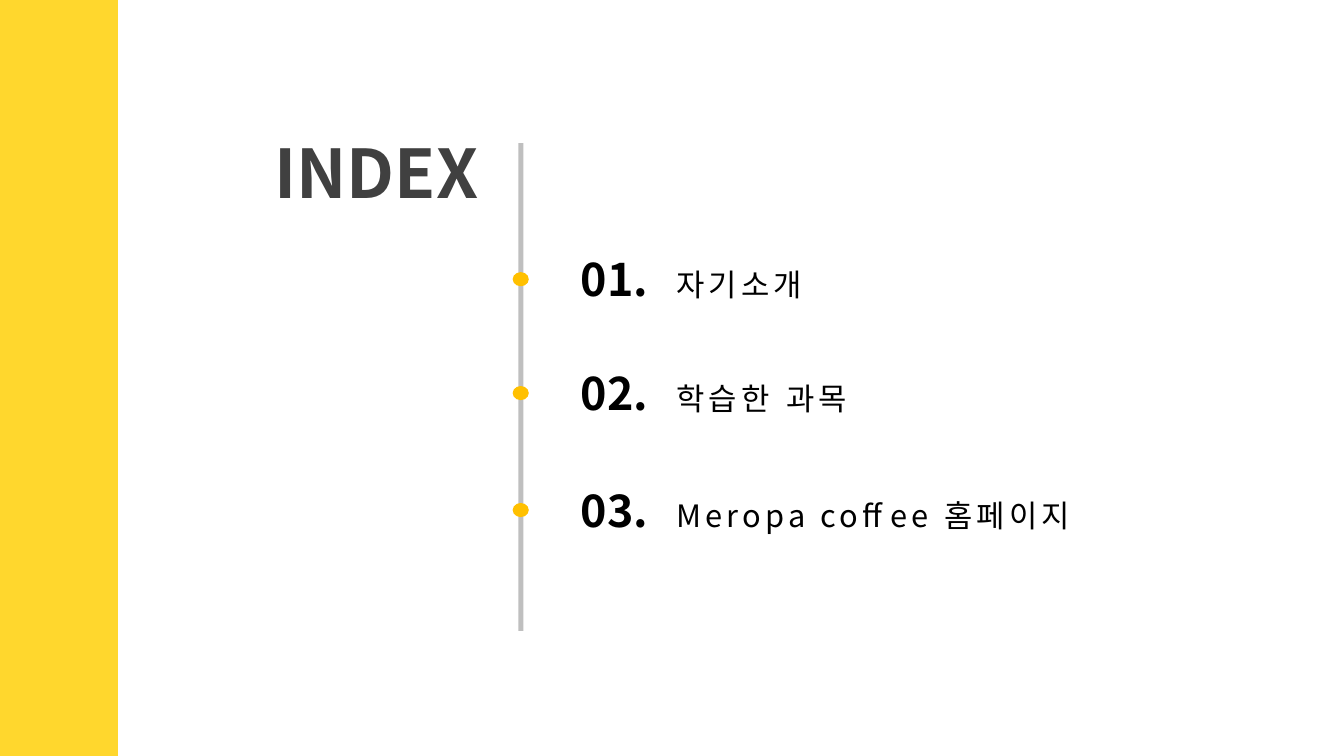
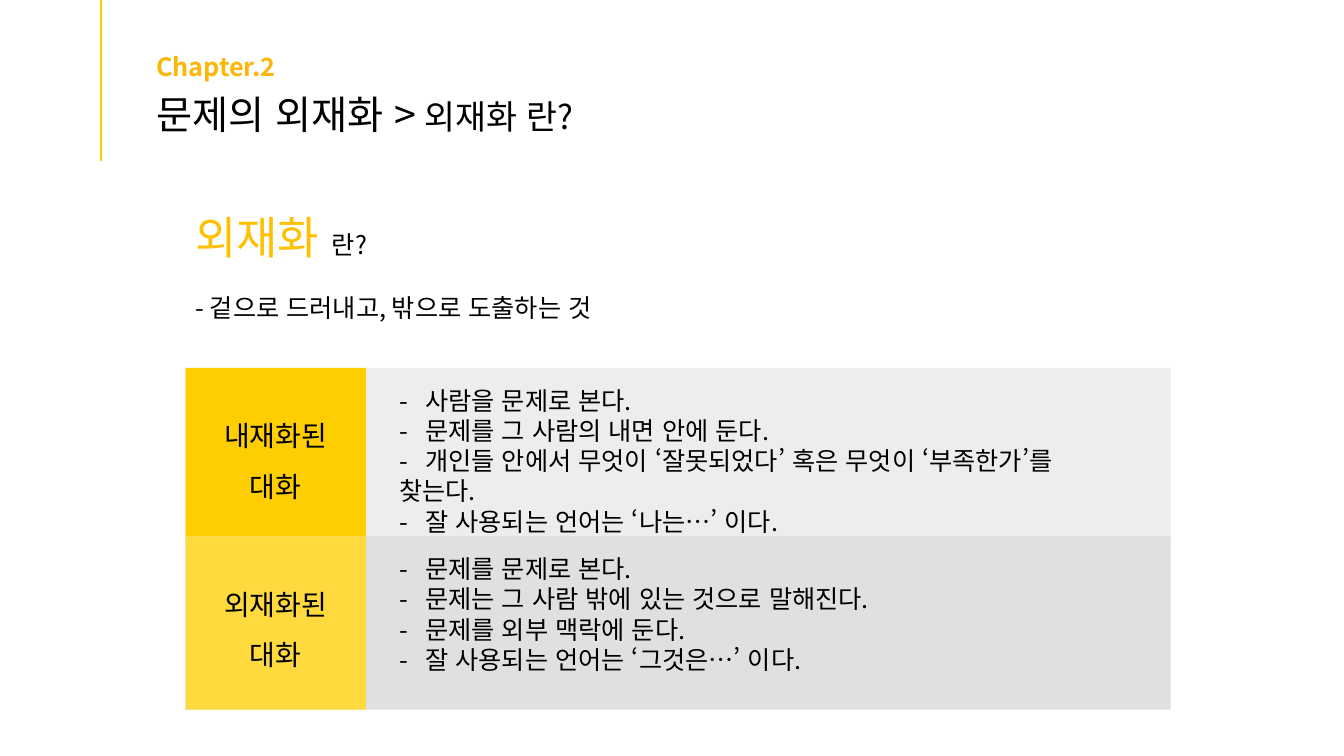
from lxml.etree import SubElement
from pptx import Presentation
from pptx.dml.color import RGBColor
from pptx.enum.lang import MSO_LANGUAGE_ID
from pptx.enum.shapes import MSO_CONNECTOR, MSO_SHAPE
from pptx.enum.text import MSO_ANCHOR, MSO_AUTO_SIZE, PP_ALIGN
from pptx.oxml.ns import qn
from pptx.util import Inches, Pt

WIDTH, HEIGHT = 13.33, 7.5
FONT = "Noto Sans CJK KR"
COLORS = {
    "text": "000000", "heading": "404040", "rail": "BFBFBF",
    "accent": "FFC000", "band": "FFD72D", "chapter": "FBB609", "rule": "FFCF01",
}
INDEX_ITEMS = [
    ("01.", "자기소개", 2.45),
    ("02.", "학습한 과목", 3.58),
    ("03.", "Meropa coffee 홈페이지", 4.74),
]
CHAPTER = "Chapter.2"
CHAPTER_TITLE = [("문제의 외재화 > ", {}), ("외재화 란?", {"size": 24})]
TERM = [("외재화 ", {"color": "accent"}), ("란?", {"size": 18})]
MEANING = "- 겉으로 드러내고, 밖으로 도출하는 것"
COMPARISON = [
    {
        "label": ["내재화된", "대화"], "label_fill": "FECE00", "fill": "EDEDED",
        "points": [
            "사람을 문제로 본다.",
            "문제를 그 사람의 내면 안에 둔다.",
            "개인들 안에서 무엇이 ‘잘못되었다’ 혹은 무엇이 ‘부족한가’를 찾는다.",
            "잘 사용되는 언어는 ‘나는…’ 이다.",
        ],
    },
    {
        "label": ["외재화된", "대화"], "label_fill": "FFDA3F", "fill": "E1DFDF",
        "points": [
            "문제를 문제로 본다.",
            "문제는 그 사람 밖에 있는 것으로 말해진다.",
            "문제를 외부 맥락에 둔다.",
            "잘 사용되는 언어는 ‘그것은…’ 이다.",
        ],
    },
]


def rgb(color):
    return RGBColor.from_string(COLORS.get(color, color))


def add_block(page, left, top, width, height, fill, kind=MSO_SHAPE.RECTANGLE):
    shape = page.shapes.add_shape(kind, *map(Inches, (left, top, width, height)))
    shape.shadow.inherit = False
    shape.fill.solid()
    shape.fill.fore_color.rgb = rgb(fill)
    shape.line.fill.background()
    return shape


def add_tab_stop(para, position):
    stops = SubElement(para._p.get_or_add_pPr(), qn("a:tabLst"))
    SubElement(stops, qn("a:tab"), pos=str(Inches(position)), algn="l")


def write(page, paragraphs, left, top, width, height, size=18, color="text", bold=False,
          align=PP_ALIGN.LEFT, line_spacing=None, tab=None, box=None):
    area = [Inches(length) for length in (left, top, width, height)]
    box = box or page.shapes.add_textbox(*area)
    box.left, box.top, box.width, box.height = area
    frame = box.text_frame
    frame.word_wrap = True
    frame.auto_size = MSO_AUTO_SIZE.NONE
    frame.vertical_anchor = MSO_ANCHOR.TOP
    paragraphs = [paragraphs] if isinstance(paragraphs, str) else paragraphs
    for number, content in enumerate(paragraphs):
        para = frame.add_paragraph() if number else frame.paragraphs[0]
        para.alignment = align
        if line_spacing:
            para.line_spacing = line_spacing
        if tab:
            add_tab_stop(para, tab)
        for text, changes in [(content, {})] if isinstance(content, str) else content:
            span = para.add_run()
            span.text = text
            span.font.name = FONT
            span.font.language_id = MSO_LANGUAGE_ID.KOREAN
            span.font.size = Pt(changes.get("size", size))
            span.font.bold = changes.get("bold", bold)
            span.font.color.rgb = rgb(changes.get("color", color))
            properties = span.font._element
            SubElement(properties, qn("a:ea"), typeface=FONT)
            if "spacing" in changes:
                properties.set("spc", str(changes["spacing"] * 100))
    return box


def add_page(deck, title, **format_options):
    page = deck.slides.add_slide(deck.slide_layouts[5])
    write(page, [title], box=page.shapes.title, **format_options)
    return page


def build_index(deck):
    page = add_page(deck, "INDEX", left=2.62, top=1.25, width=2.51, height=0.91,
                    size=48, color="heading", bold=True)
    rail_left, rail_width = 5.14, 0.05
    dot_width, dot_height, row_height = 0.16, 0.14, 0.64
    add_block(page, rail_left, 1.42, rail_width, 4.84, "rail")
    for number, topic, top in INDEX_ITEMS:
        add_block(page, rail_left + (rail_width - dot_width) / 2,
                  top + (row_height - dot_height) / 2, dot_width, dot_height,
                  "accent", MSO_SHAPE.OVAL)
        line = [(number + "\t", {}), (topic, {"size": 22, "bold": False, "spacing": 3})]
        write(page, [line], 5.66, top, 5.81, row_height, size=32, bold=True, tab=0.95)
    add_block(page, 0, 0, 1.17, HEIGHT, "band")


def build_chapter(deck):
    page = add_page(deck, CHAPTER_TITLE, left=1.45, top=0.85, width=6.67, height=0.57, size=28)
    write(page, CHAPTER, 1.45, 0.46, 5.51, 0.4, color="chapter", bold=True)
    rule = page.shapes.add_connector(MSO_CONNECTOR.STRAIGHT, Inches(1), 0, Inches(1), Inches(1.6))
    rule.line.color.rgb = rgb("rule")
    rule.line.width = Pt(1.5)
    SubElement(rule._element.spPr, qn("a:effectLst"))

    left, label_width = 1.84, 1.79
    write(page, [TERM], left, 2.03, 6.78, 0.64, size=32)
    write(page, MEANING, left, 2.85, 7.5, 0.4)
    rows = [(3.65 + number * 1.67, row) for number, row in enumerate(COMPARISON)]
    for top, row in rows:
        add_block(page, left, top, 9.77, 1.72, row["fill"])
        add_block(page, left, top, label_width, 1.72, row["label_fill"])
    for top, row in rows:
        write(page, row["label"], left + 0.18, top + 0.29, label_width - 0.36, 1.06,
              size=20, align=PP_ALIGN.CENTER, line_spacing=1.5)
        write(page, ["-\t" + point for point in row["points"]],
              left + label_width + 0.23, top + 0.12, 7.09, 1.55, tab=0.26)


def main():
    deck = Presentation()
    deck.slide_width, deck.slide_height = Inches(WIDTH), Inches(HEIGHT)
    build_index(deck)
    build_chapter(deck)
    deck.save("out.pptx")


if __name__ == "__main__":
    main()
